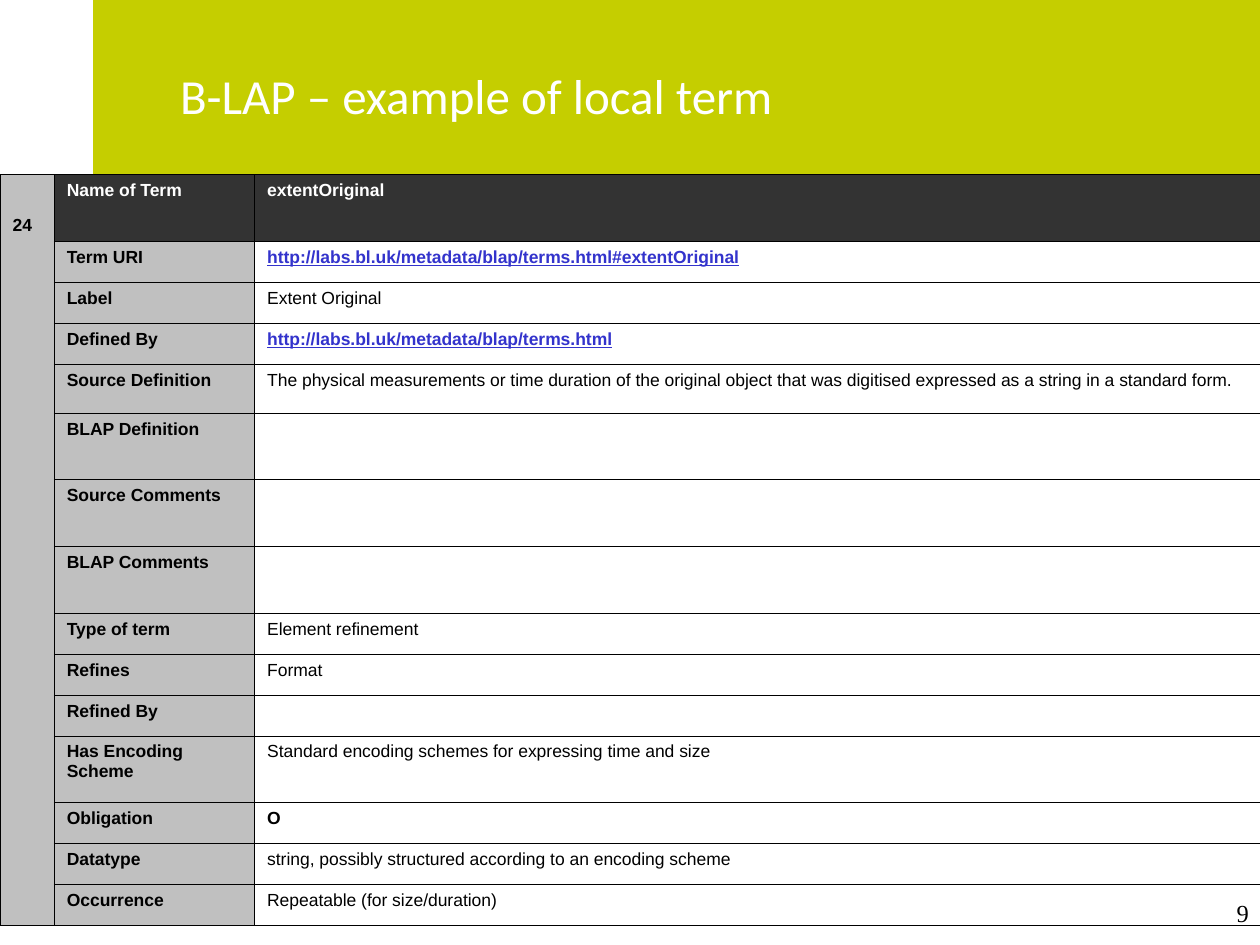
"""Build the slide showing the B-LAP example of a local term."""
from lxml.etree import SubElement
from pptx import Presentation
from pptx.dml.color import RGBColor
from pptx.enum.shapes import MSO_SHAPE
from pptx.enum.text import MSO_ANCHOR, PP_ALIGN
from pptx.oxml.ns import qn
from pptx.util import Pt

LIME = RGBColor(0xC5, 0xCE, 0x00)
WHITE = RGBColor(0xFF, 0xFF, 0xFF)
BLACK = RGBColor(0x00, 0x00, 0x00)
DARK = RGBColor(0x33, 0x33, 0x33)
GREY = RGBColor(0xC0, 0xC0, 0xC0)
BLUE = RGBColor(0x33, 0x33, 0xCC)

LOW, MID, TALL = 23.4, 28, 38.1
ROWS = [
    ("Name of Term", "extentOriginal", TALL),
    ("Term URI", "http://labs.bl.uk/metadata/blap/terms.html#extentOriginal", LOW),
    ("Label", "Extent Original", LOW),
    ("Defined By", "http://labs.bl.uk/metadata/blap/terms.html", LOW),
    ("Source Definition", "The physical measurements or time duration of the original object "
     "that was digitised expressed as a string in a standard form.", MID),
    ("BLAP Definition", "", TALL),
    ("Source Comments", "", TALL),
    ("BLAP Comments", "", TALL),
    ("Type of term", "Element refinement", LOW),
    ("Refines", "Format", LOW),
    ("Refined By", "", LOW),
    ("Has Encoding Scheme", "Standard encoding schemes for expressing time and size", TALL),
    ("Obligation", "O", LOW),
    ("Datatype", "string, possibly structured according to an encoding scheme", LOW),
    ("Occurrence", "Repeatable (for size/duration)", LOW),
]


def write(frame, text, color, **form):
    para = frame.paragraphs[0]
    run = para.add_run()
    run.text = text
    run.font.color.rgb = color
    for key, value in form.items():
        setattr(run.font, key, value)
    return para


def edge(cell, sides):
    props = cell._tc.get_or_add_tcPr()
    for side in "LRTB":
        line = SubElement(props, qn(f"a:ln{side}"), w=str(Pt(0.45)))
        if side in sides:
            fill = SubElement(line, qn("a:solidFill"))
            SubElement(fill, qn("a:srgbClr"), val=str(BLACK))
        else:
            SubElement(line, qn("a:noFill"))


deck = Presentation()
deck.slide_width, deck.slide_height = Pt(720), Pt(540)
slide = deck.slides.add_slide(deck.slide_layouts[6])
shapes = slide.shapes

band = shapes.add_shape(MSO_SHAPE.RECTANGLE, Pt(53.3), Pt(0), Pt(666.7), Pt(101.5))
band.shadow.inherit = False
band.fill.solid()
band.fill.fore_color.rgb = LIME
band.line.fill.background()

title = shapes.add_textbox(Pt(95.8), Pt(18), Pt(522.7), Pt(72)).text_frame
title.word_wrap = True
title.vertical_anchor = MSO_ANCHOR.MIDDLE
write(title, "B-LAP – example of local term", WHITE, name="Calibri", size=Pt(28))

high = sum(row[2] for row in ROWS)
table = shapes.add_table(len(ROWS), 3, Pt(0), Pt(99.8), Pt(720), Pt(high)).table
table.first_row = table.horz_banding = False
for col, width in zip(table.columns, (31, 114.5, 574.5)):
    col.width = Pt(width)

last = len(ROWS) - 1
for i, (label, value, height) in enumerate(ROWS):
    table.rows[i].height = Pt(height)
    for j, text in enumerate(("" if i else "24", label, value)):
        cell = table.cell(i, j)
        head = i == 0 and j > 0
        link = text.startswith("http")
        ends = ("T" if i == 0 else "") + ("B" if i == last else "")
        edge(cell, "LRTB" if j else "LR" + ends)
        if head or j < 2:
            cell.fill.solid()
            cell.fill.fore_color.rgb = DARK if head else GREY
        else:
            cell.fill.background()
        if text:
            color = WHITE if head else BLUE if link else BLACK
            bold = j < 2 or head or link or label == "Obligation"
            write(cell.text_frame, text, color, name="Arial", size=Pt(10),
                  bold=bold, underline=link)
        else:
            SubElement(cell.text_frame.paragraphs[0]._p, qn("a:endParaRPr"), sz="1000")
table.cell(0, 0).vertical_anchor = MSO_ANCHOR.BOTTOM

page = shapes.add_textbox(Pt(553), Pt(509.8), Pt(167.8), Pt(37.4)).text_frame
page.word_wrap = True
para = write(page, "9", BLACK, name="Times New Roman", size=Pt(14))
para.alignment = PP_ALIGN.RIGHT

deck.save("out.pptx")
